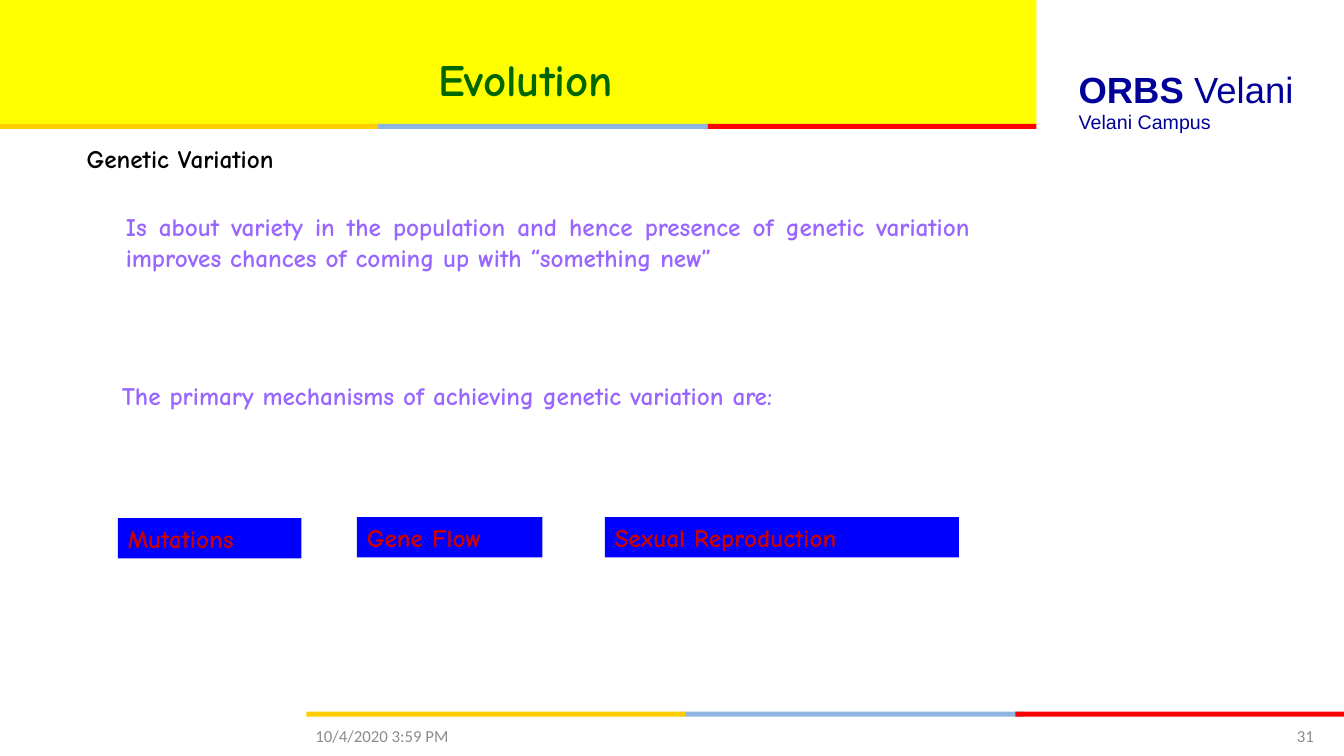
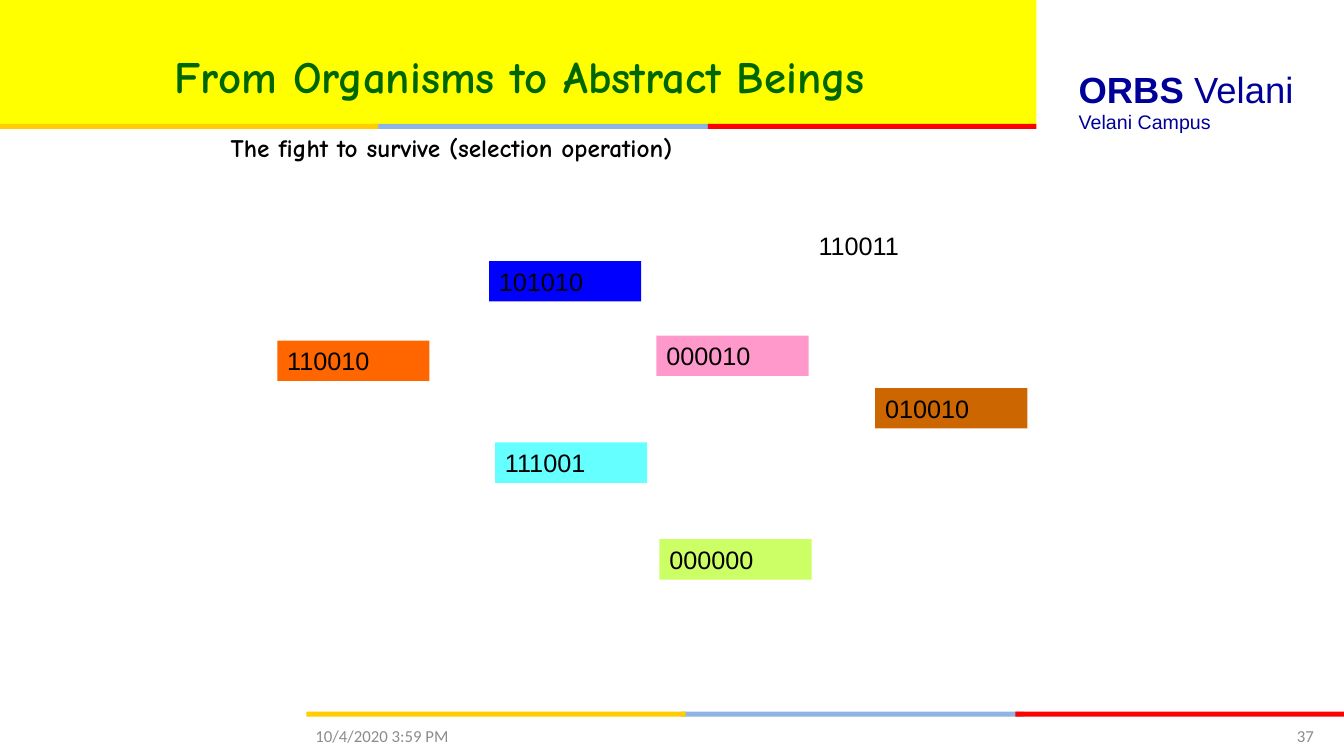
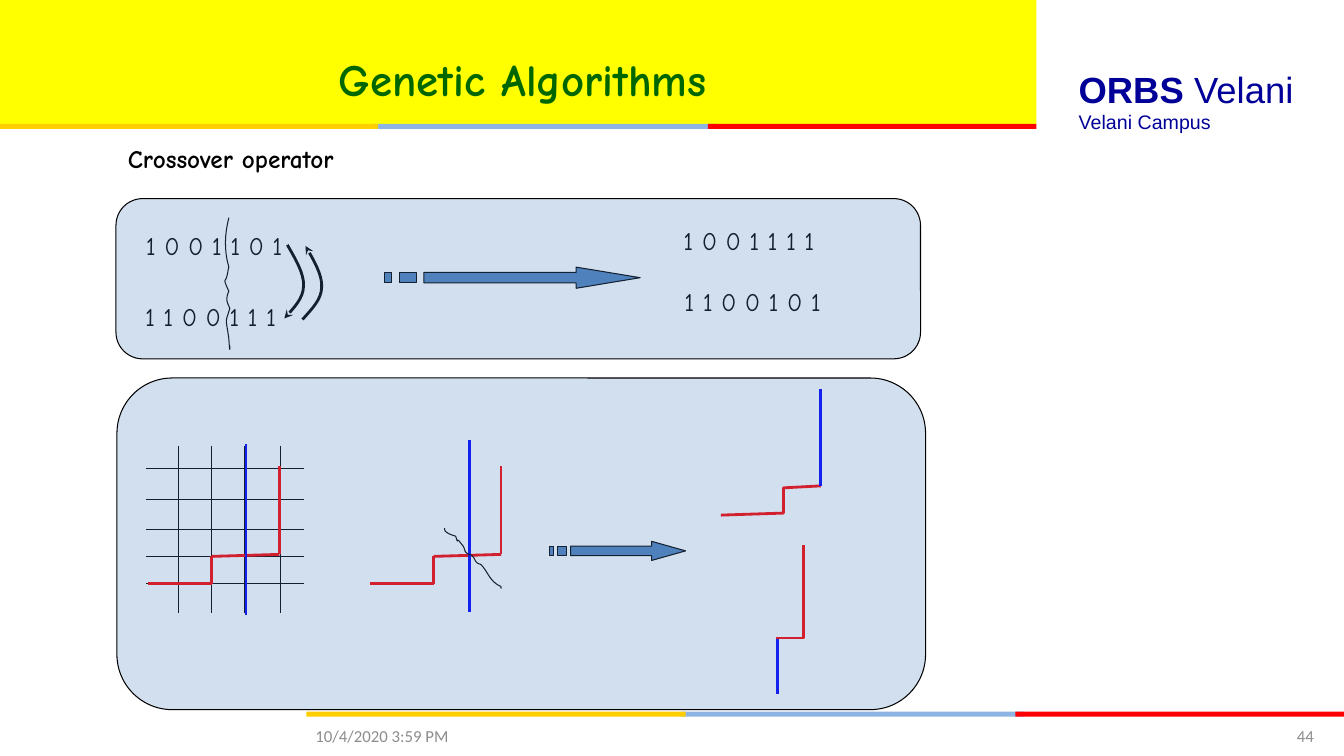
from itertools import pairwise

from lxml import etree
from pptx import Presentation
from pptx.dml.color import RGBColor
from pptx.enum.shapes import MSO_CONNECTOR, MSO_SHAPE
from pptx.enum.text import MSO_ANCHOR, MSO_AUTO_SIZE, PP_ALIGN
from pptx.oxml.ns import qn
from pptx.util import Inches, Pt

RECTANGLE = MSO_SHAPE.RECTANGLE
ROUNDED = MSO_SHAPE.ROUNDED_RECTANGLE
STRAIGHT = MSO_CONNECTOR.STRAIGHT
LEFT, CENTER, RIGHT = PP_ALIGN.LEFT, PP_ALIGN.CENTER, PP_ALIGN.RIGHT
JUSTIFY = PP_ALIGN.JUSTIFY
TOP, MIDDLE = MSO_ANCHOR.TOP, MSO_ANCHOR.MIDDLE
NO_AUTOFIT = MSO_AUTO_SIZE.NONE

HAND, SANS, FOOTER_FONT = "Comic Neue", "Arial", "Calibri"
YELLOW, GOLD, SKY, RED = "FFFF00", "FFCE00", "8EB4E3", "FF0000"
GREEN, NAVY, VIOLET, BLUE = "006600", "000099", "9966FF", "0000FF"
BLACK, GREY, CRIMSON, STEEL = "000000", "8C8C8C", "CC0000", "4F81BD"


def color(value):
    return RGBColor.from_string(value)


def box(*lengths):
    return [Inches(length) for length in lengths]


def curve(start, *segments, steps=8):
    """Points along a chain of cubic curves, each (x1, y1, x2, y2, x, y)."""
    points = [start]
    for x1, y1, x2, y2, x3, y3 in segments:
        x0, y0 = points[-1]
        for step in range(1, steps + 1):
            t = step / steps
            a, b, c, d = (1 - t) ** 3, 3 * t * (1 - t) ** 2, 3 * t * t * (1 - t), t ** 3
            points.append((a * x0 + b * x1 + c * x2 + d * x3,
                           a * y0 + b * y1 + c * y2 + d * y3))
    return points


class Deck:
    def __init__(self):
        self.presentation = Presentation()
        self.presentation.slide_width = Inches(13.33)
        self.presentation.slide_height = Inches(7.5)
        self.slide = None

    def add_slide(self, title, number, left, top, width):
        layout = self.presentation.slide_layouts[5]
        self.slide = self.presentation.slides.add_slide(layout)
        # Bands
        self.rectangle(0, 0, 10.28, 1.23, YELLOW)
        for stripe_left, stripe_top in ((3.04, 7.06), (-0.01, 1.23)):
            for offset, stripe_width, fill in ((3.71, 3.4, SKY), (7.03, 3.26, RED),
                                               (0, 3.76, GOLD)):
                self.rectangle(stripe_left + offset, stripe_top, stripe_width, 0.05, fill)
        # School name
        name = self.text("ORBS ", 10.6, 0.62, 2.7, 0.54, NAVY, SANS, 26, bold=True)
        second_word = name.add_run()
        second_word.text = "Velani"
        second_word.font.bold = False
        self.text("Velani Campus", 10.6, 1.04, 2.39, 0.34, NAVY, SANS, 14)
        # Title, brought in front of the bands
        shape = self.slide.shapes.title
        shape.element.getparent().append(shape.element)
        shape.left, shape.top, shape.width, shape.height = box(left, top, width, 0.63)
        self.set_text(shape, title, GREEN, HAND, 32, True, CENTER)
        # Footer
        self.text("10/4/2020 3:59 PM", 3.03, 7.1, 3.11, 0.4, GREY, FOOTER_FONT, 12,
                  anchor=MIDDLE)
        self.text(number, 11.67, 7.1, 1.46, 0.4, GREY, FOOTER_FONT, 12,
                  align=RIGHT, anchor=MIDDLE)

    def set_text(self, shape, text, ink, font, size, bold=False, align=LEFT, anchor=TOP):
        frame = shape.text_frame
        frame.word_wrap = True
        frame.auto_size = NO_AUTOFIT
        frame.vertical_anchor = anchor
        paragraph = frame.paragraphs[0]
        paragraph.add_run().text = text
        paragraph.alignment = align
        paragraph.font.name = font
        paragraph.font.size = Pt(size)
        paragraph.font.bold = bold
        paragraph.font.color.rgb = color(ink)
        return paragraph

    def text(self, text, left, top, width, height, ink=BLACK, font=HAND, size=18, **style):
        shape = self.slide.shapes.add_textbox(*box(left, top, width, height))
        return self.set_text(shape, text, ink, font, size, **style)

    def rectangle(self, left, top, width, height, fill, kind=RECTANGLE):
        shape = self.slide.shapes.add_shape(kind, *box(left, top, width, height))
        shape.shadow.inherit = False
        shape.fill.solid()
        shape.fill.fore_color.rgb = color(fill)
        shape.line.fill.background()
        return shape

    def label(self, text, left, top, width, fill, ink=BLACK, font=SANS, bold=False):
        shape = self.rectangle(left, top, width, 0.4, fill)
        self.set_text(shape, text, ink, font, 18, bold)

    def panel(self, left, top, width, height):
        """A see-through rounded panel laid over its contents."""
        shape = self.rectangle(left, top, width, height, STEEL, ROUNDED)
        fill = shape.element.spPr.find(".//" + qn("a:srgbClr"))
        etree.SubElement(fill, qn("a:alpha")).set("val", "25000")
        self.outline(shape, BLACK, 0.75)

    def outline(self, shape, ink, weight):
        shape.line.color.rgb = color(ink)
        shape.line.width = Pt(weight)

    def lines(self, points, ink=BLACK, weight=0.75):
        """Straight lines from each point to the next."""
        for start, end in pairwise(points):
            line = self.slide.shapes.add_connector(STRAIGHT, *box(*start, *end))
            self.outline(line, ink, weight)
            etree.SubElement(line.element.spPr, qn("a:effectLst"))

    def outlines(self, contours, closed):
        first, *others = [[box(*point) for point in contour] for contour in contours]
        builder = self.slide.shapes.build_freeform(*first[0], scale=1.0)
        builder.add_line_segments(first[1:], close=closed)
        for contour in others:
            builder.move_to(*contour[0])
            builder.add_line_segments(contour[1:], close=closed)
        shape = builder.convert_to_shape()
        shape.shadow.inherit = False
        return shape

    def stroke(self, points, ink=BLACK, weight=0.75, arrow=None):
        shape = self.outlines([points], closed=False)
        shape.fill.background()
        self.outline(shape, ink, weight)
        if arrow:
            line = shape.element.spPr.find(qn("a:ln"))
            etree.SubElement(line, qn("a:" + arrow)).set("type", "stealth")

    def striped_arrow(self, left, top, width, height):
        def place(points):
            return [(left + x * width, top + y * height) for x, y in points]

        head = [(0.75, 0), (0.75, 0.25), (0.155, 0.25), (0.155, 0.75),
                (0.75, 0.75), (0.75, 1), (1, 0.5)]
        stripes = [[(x1, 0.25), (x1, 0.75), (x2, 0.75), (x2, 0.25)]
                   for x1, x2 in ((0.06, 0.125), (0, 0.03))]
        shape = self.outlines([place(part) for part in (head, *stripes)], closed=True)
        shape.fill.solid()
        shape.fill.fore_color.rgb = color(STEEL)
        self.outline(shape, BLACK, 0.75)


def genetic_variation(deck):
    deck.add_slide("Evolution", "31", 1.03, 0.46, 8.37)
    deck.text("Genetic Variation", 0.76, 1.37, 2.42, 0.4, bold=True)
    deck.text("Is about variety in the population and hence presence of genetic variation "
              "improves chances of coming up with “something new”",
              1.15, 2.05, 8.57, 0.71, VIOLET, bold=True, align=JUSTIFY)
    deck.text("The primary mechanisms of achieving genetic variation are:",
              1.11, 3.72, 8.57, 0.4, VIOLET, bold=True, align=JUSTIFY)
    for mechanism, left, top, width in (("Mutations", 1.17, 5.14, 1.82),
                                        ("Gene Flow", 3.54, 5.13, 1.84),
                                        ("Sexual Reproduction", 6, 5.13, 3.51)):
        deck.label(mechanism, left, top, width, BLUE, CRIMSON, HAND, True)


def selection(deck):
    deck.add_slide("From Organisms to Abstract Beings", "37", 0.79, 0.43, 8.74)
    for genome, left, top, fill in (("110010", 2.75, 3.38, "FF6600"),
                                    ("111001", 4.91, 4.39, "66FFFF"),
                                    ("000000", 6.54, 5.35, "CCFF66"),
                                    ("010010", 8.68, 3.85, "CC6600"),
                                    ("101010", 4.85, 2.59, BLUE),
                                    ("000010", 6.51, 3.33, "FF99CC"),
                                    ("110011", 8.02, 2.24, "FFFFFF")):
        deck.label(genome, left, top, 1.51, fill)
    deck.text("The fight to survive (selection operation)", 2.19, 1.26, 5.37, 0.4, bold=True)


def crossover(deck):
    deck.add_slide("Genetic Algorithms", "44", 1, 0.46, 8.37)
    deck.text("Crossover operator", 1.17, 1.37, 2.53, 0.4, bold=True)

    # Bit strings before and after
    for bits, left, top in (("1 0 0 1 1 0 1", 1.35, 2.24), ("1 1 0 0 1 1 1", 1.34, 2.94),
                            ("1 0 0 1 1 1 1", 6.68, 2.19), ("1 1 0 0 1 0 1", 6.69, 2.79)):
        deck.text(bits, left, top, 1.67, 0.4)
    # Cut line and swap arrows
    deck.stroke(curve((2.27, 2.16), (2.23, 2.32, 2.22, 2.48, 2.27, 2.65),
                      (2.26, 2.68, 2.26, 2.71, 2.25, 2.74),
                      (2.25, 2.76, 2.23, 2.78, 2.23, 2.79),
                      (2.24, 2.83, 2.27, 2.89, 2.27, 2.89),
                      (2.26, 2.91, 2.25, 2.94, 2.25, 2.97),
                      (2.25, 3, 2.28, 3.06, 2.28, 3.06),
                      (2.23, 3.22, 2.24, 3.14, 2.27, 3.36),
                      (2.28, 3.52, 2.28, 3.46, 2.28, 3.43)))
    for x, y, arrow in ((2.85, 2.43, "tailEnd"), (3.03, 2.44, "headEnd")):
        deck.stroke(curve((x, y), (x + 0.08, y + 0.14, x + 0.17, y + 0.29, x + 0.16, y + 0.41),
                          (x + 0.16, y + 0.53, x + 0.06, y + 0.63, x - 0.03, y + 0.73)),
                    weight=2, arrow=arrow)
    deck.striped_arrow(3.81, 2.65, 2.54, 0.21)
    deck.panel(1.15, 1.97, 7.98, 1.59)

    # Grid
    for y in (4.65, 4.96, 5.25, 5.52, 5.79):
        deck.lines([(1.45, y), (3.02, y)])
    for x in (1.77, 2.1, 2.43, 2.78):
        deck.lines([(x, 4.42), (x, 6.08)])
    # Parent paths, on the grid and alone
    for shift in (0, 2.2):
        steps = ((1.47, 5.79), (2.1, 5.79), (2.1, 5.52), (2.77, 5.5), (2.77, 4.62))
        deck.lines([(x + shift, y) for x, y in steps], RED, 2)
    for x, y in ((2.44, 4.4), (4.66, 4.37)):
        deck.lines([(x, y), (x, y + 1.7)], BLUE, 2)
    # Cut line
    deck.stroke(curve((4.41, 5.24), (4.41, 5.25, 4.41, 5.27, 4.43, 5.28),
                      (4.45, 5.3, 4.52, 5.32, 4.52, 5.32),
                      (4.56, 5.44, 4.5, 5.29, 4.58, 5.4),
                      (4.63, 5.45, 4.58, 5.48, 4.68, 5.51),
                      (4.73, 5.56, 4.7, 5.58, 4.77, 5.6),
                      (4.83, 5.66, 4.85, 5.74, 4.92, 5.79),
                      (4.97, 5.83, 4.97, 5.8, 4.97, 5.84)))
    # Child paths
    deck.stroke([(7.15, 5.11), (7.77, 5.09), (7.77, 4.84), (8.14, 4.82)], RED, 2)
    deck.lines([(8.14, 4.82), (8.14, 3.86)], BLUE, 2)
    deck.lines([(7.71, 6.32), (7.71, 6.89)], BLUE, 2)
    deck.stroke([(7.7, 6.33), (7.97, 6.33), (7.97, 5.41)], RED, 2)
    deck.striped_arrow(5.45, 5.37, 1.35, 0.19)
    deck.panel(1.16, 3.75, 8.02, 3.29)


def main():
    deck = Deck()
    genetic_variation(deck)
    selection(deck)
    crossover(deck)
    deck.presentation.save("out.pptx")


if __name__ == "__main__":
    main()
